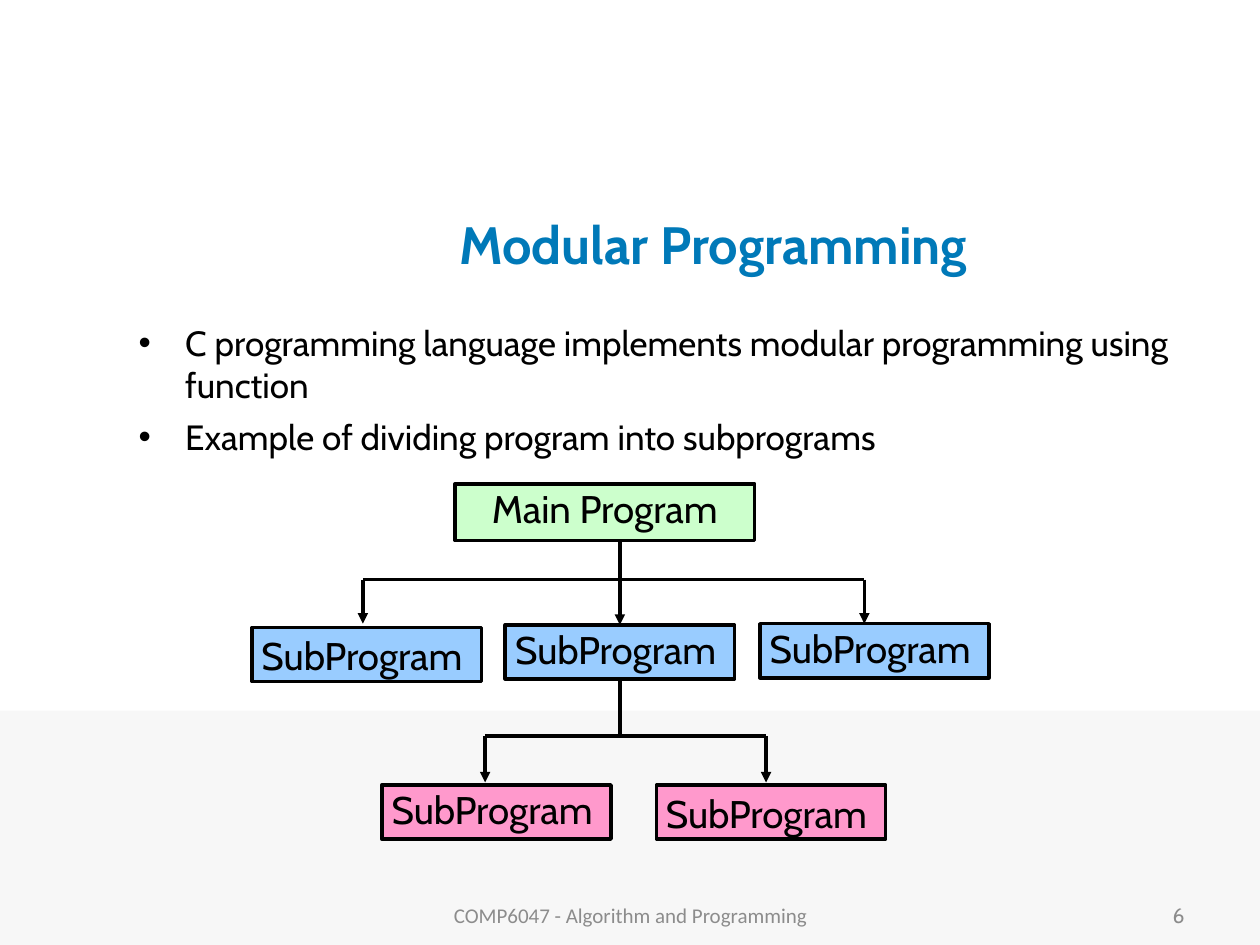
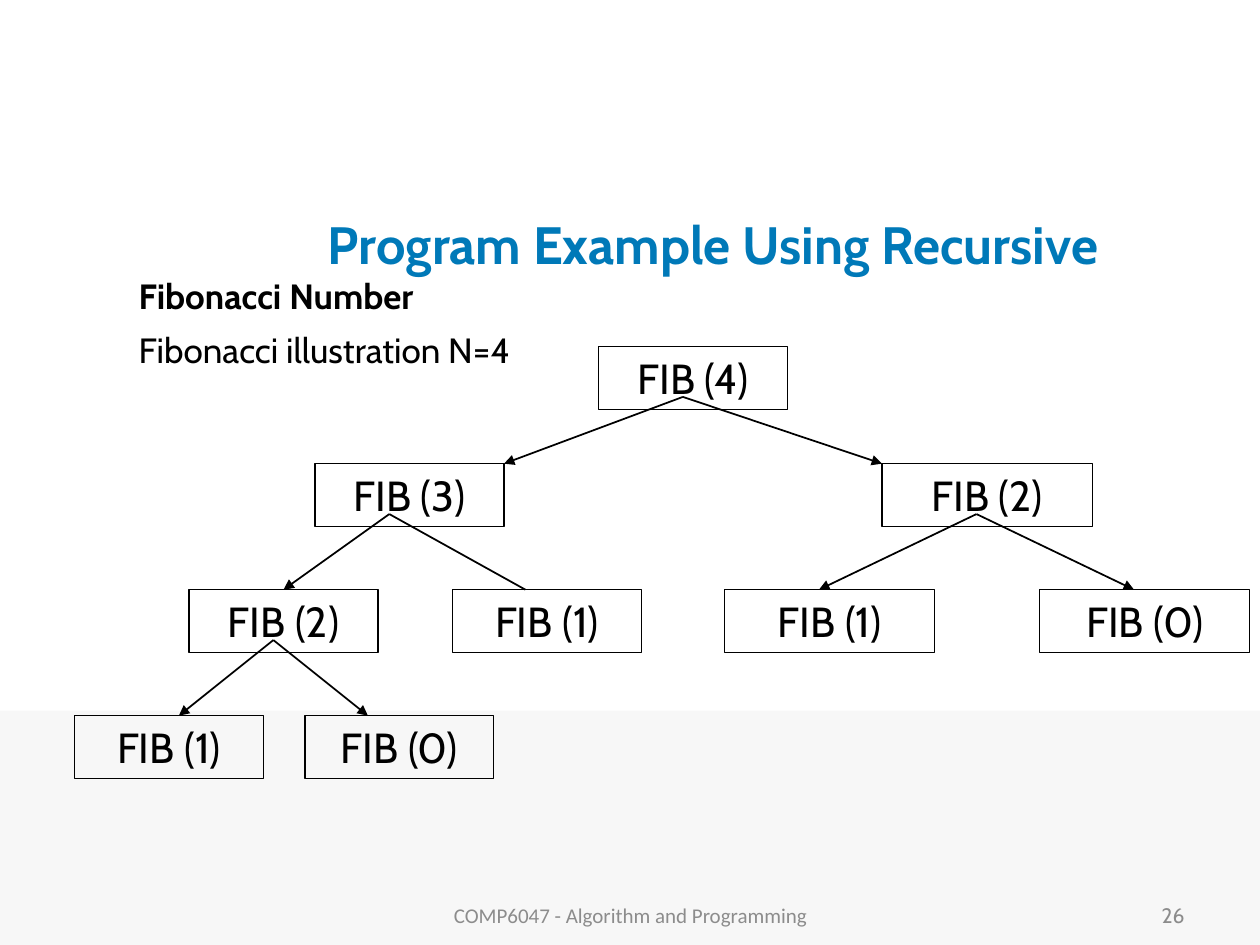
from dataclasses import dataclass

from lxml import etree
from pptx import Presentation
from pptx import util as u
from pptx.dml.color import RGBColor
from pptx.enum import shapes, text
from pptx.oxml.ns import qn


@dataclass(frozen=True)
class Theme:
    ink: str = "000000"
    title: str = "0079B8"
    muted: str = "8C8C8C"
    band: str = "F7F7F7"
    main: str = "CCFFCC"
    first_level: str = "99CCFF"
    second_level: str = "FF99CC"
    font: str = "Cabin"
    footer_font: str = "Calibri"
    title_size: int = 30
    body_size: int = 20
    module_size: int = 22
    call_size: int = 24
    footer_size: int = 12


@dataclass(frozen=True)
class Box:
    """A region measured in cells of the slide grid."""
    left: float
    top: float
    width: float
    height: float

    def inner(self, left, top, width, height):
        return Box(self.left + left, self.top + top, width, height)

    def place(self, shape):
        shape.left, shape.top, shape.width, shape.height = self.lengths()

    def lengths(self):
        return [cells(n) for n in (self.left, self.top, self.width, self.height)]


THEME = Theme()
WIDTH, HEIGHT = u.Inches(10), u.Inches(7.5)
COLUMNS = 100  # square cells, so the slide has 75 rows
FOOTER = "COMP6047 - Algorithm and Programming"
CENTER, RIGHT, LEFT = (text.PP_ALIGN.CENTER, text.PP_ALIGN.RIGHT, text.PP_ALIGN.LEFT)


def cells(count):
    return round(count * WIDTH / COLUMNS)


def rgb(value):
    return RGBColor.from_string(value)


def style(para, size, color=THEME.ink, font=THEME.font, bold=False, align=CENTER):
    para.alignment = align
    for span in para.runs:
        span.font.size, span.font.name = u.Pt(size), font
        span.font.bold, span.font.color.rgb = bold, rgb(color)


def add_box(page, area, fill=None, line=None):
    box = page.shapes.add_shape(shapes.MSO_SHAPE.RECTANGLE, *area.lengths())
    box.shadow.inherit = False
    if fill:
        box.fill.solid()
        box.fill.fore_color.rgb = rgb(fill)
    else:
        box.fill.background()
    if line:
        box.line.color.rgb, box.line.width = rgb(THEME.ink), u.Pt(line)
    else:
        box.line.fill.background()
    return box


def add_label(box, label, size, inset=None):
    frame = box.text_frame
    frame.text, frame.word_wrap = label, True
    frame.vertical_anchor = text.MSO_ANCHOR.TOP
    if inset is not None:
        frame.margin_left = frame.margin_right = u.Inches(inset)
        frame.margin_top = frame.margin_bottom = u.Inches(inset)
    style(frame.paragraphs[0], size)


def add_line(page, area, start, end, weight, arrow=False):
    points = [cells(n) for x, y in (start, end) for n in (area.left + x, area.top + y)]
    line = page.shapes.add_connector(shapes.MSO_CONNECTOR.STRAIGHT, *points)
    line.line.color.rgb, line.line.width = rgb(THEME.ink), u.Pt(weight)
    properties = line.element.spPr
    if arrow:
        etree.SubElement(properties.find(qn("a:ln")), qn("a:tailEnd"), type="triangle")
    etree.SubElement(properties, qn("a:effectLst"))
    return line


def add_footer(page, area, content, align, font):
    note = page.shapes.add_textbox(*area.lengths())
    frame = note.text_frame
    frame.text, frame.word_wrap = content, True
    frame.vertical_anchor = text.MSO_ANCHOR.MIDDLE
    style(frame.paragraphs[0], THEME.footer_size, THEME.muted, font, align=align)


def add_page(deck, title, number):
    page = deck.slides.add_slide(deck.slide_layouts[1])
    # Grey band behind everything else
    band = add_box(page, Box(0, 56.4, COLUMNS, 18.6), THEME.band)
    band.element.getparent().insert(2, band.element)
    # Title
    heading = page.shapes.title
    Box(19.2, 15, 74.8, 8.7).place(heading)
    heading.text_frame.text = title
    heading.text_frame.vertical_anchor = text.MSO_ANCHOR.MIDDLE
    heading.text_frame.auto_size = text.MSO_AUTO_SIZE.NONE
    style(heading.text_frame.paragraphs[0], THEME.title_size, THEME.title, bold=True)
    # Footer and page number
    add_footer(page, Box(34.2, 70.6, 31.7, 4), FOOTER, CENTER, THEME.footer_font)
    add_footer(page, Box(71.7, 70.6, 23.3, 4), str(number), RIGHT, THEME.font)
    return page


def fill_body(page, area, items, bullet=None, bold_first=False, gap=6):
    body = page.placeholders[1]
    area.place(body)
    frame = body.text_frame
    frame.text = "\n".join(items)
    frame.auto_size = text.MSO_AUTO_SIZE.NONE
    indent = u.Inches(0.37) if bullet else 0
    for index, para in enumerate(frame.paragraphs):
        properties = para._p.get_or_add_pPr()
        properties.set("marL", str(indent))
        properties.set("indent", str(-indent))
        if bullet:
            etree.SubElement(properties, qn("a:buChar"), char=bullet)
        else:
            etree.SubElement(properties, qn("a:buNone"))
        para.space_before = u.Pt(gap if index else 0)
        style(para, THEME.body_size, bold=bold_first and index == 0, align=LEFT)


def draw_modules(page, area):
    """Main program split into two levels of subprograms."""
    weight, inset = 2, 0.01
    main_box = add_box(page, area.inner(16.1, 0, 23.8, 4.5), THEME.main, weight)
    add_label(main_box, "Main Program", THEME.module_size, inset)

    # Left, top, fill and size of the closing space
    modules = [
        (0, 11.4, THEME.first_level, 24),
        (20.1, 11.2, THEME.first_level, 22),
        (40.3, 11.1, THEME.first_level, 22),
        (10.3, 23.9, THEME.second_level, 22),
        (32.1, 23.9, THEME.second_level, 24),
    ]
    boxes = []
    for left, top, fill, space_size in modules:
        box = add_box(page, area.inner(left, top, 18.2, 4.3), fill, weight)
        add_label(box, "SubProgram", THEME.module_size, inset)
        para = box.text_frame.paragraphs[0]
        para.add_run().text = " "
        style(para, THEME.module_size)
        para.runs[1].font.size = u.Pt(space_size)
        boxes.append(box)

    # Rails, and the arrows dropping from them
    for left, right, rail, tip in [(8.8, 48.6, 7.6, 11.1), (18.5, 40.8, 20, 23.7)]:
        add_line(page, area, (left, rail), (right, rail), weight)
        for x in (left, right):
            add_line(page, area, (x, rail), (x, tip), weight, arrow=True)

    # Trunk through the middle subprogram
    middle = boxes[1]
    trunk = add_line(page, area, (29.2, 4.5), (29.2, 11.2), weight, arrow=True)
    trunk.end_connect(middle, 0)
    stem = add_line(page, area, (29.2, 15.5), (29.2, 20), weight)
    stem.begin_connect(middle, 2)


def draw_call_tree(page, area):
    """Calls made by FIB (4), level by level."""
    narrow, wide, height = 15, 16.7, 5
    tops = [0, 9.3, 19.3, 29.3]
    # Argument, left and width of each call
    levels = [
        [(4, 41.6, narrow)],
        [(3, 19.1, narrow), (2, 64.1, wide)],
        [(2, 9.1, narrow), (1, 30, narrow), (1, 51.6, wide), (0, 76.6, wide)],
        [(1, 0, narrow), (0, 18.3, narrow)],
    ]
    nodes = []
    for top, calls in zip(tops, levels):
        for argument, left, width in calls:
            node = add_box(page, area.inner(left, top, width, height), line=0.75)
            add_label(node, f"FIB ({argument})", THEME.call_size)
            nodes.append(node)

    # Level, start and the two ends of each fork
    forks = [
        (0, 48.3, (34.1, 64.1)),
        (1, 25, (16.6, 35.8)),
        (1, 71.6, (59.1, 84.1)),
        (2, 15.8, (8.3, 23.3)),
    ]
    plain_end, joined_end = 35.8, 16.6
    for level, start, ends in forks:
        for end in ends:
            branch = add_line(page, area, (start, tops[level] + 4), (end, tops[level + 1]),
                              1, arrow=end != plain_end)
            if end == joined_end:
                branch.end_connect(nodes[3], 0)


def main():
    deck = Presentation()
    deck.slide_width, deck.slide_height = WIDTH, HEIGHT

    # Modular programming
    page = add_page(deck, "Modular Programming", 6)
    fill_body(page, Box(10, 25, 85.8, 40.7), [
        "C programming language implements modular programming using function",
        "Example of dividing program into subprograms",
    ], bullet="•")
    draw_modules(page, Box(20, 38.4, 58.5, 28.2))

    # Recursive Fibonacci
    page = add_page(deck, "Program Example Using Recursive", 26)
    fill_body(page, Box(10, 21.3, 94.2, 47.8),
              ["Fibonacci Number", "Fibonacci illustration N=4"], bold_first=True, gap=7)
    draw_call_tree(page, Box(5.9, 27.5, 93.3, 34.3))

    deck.save("out.pptx")


if __name__ == "__main__":
    main()
